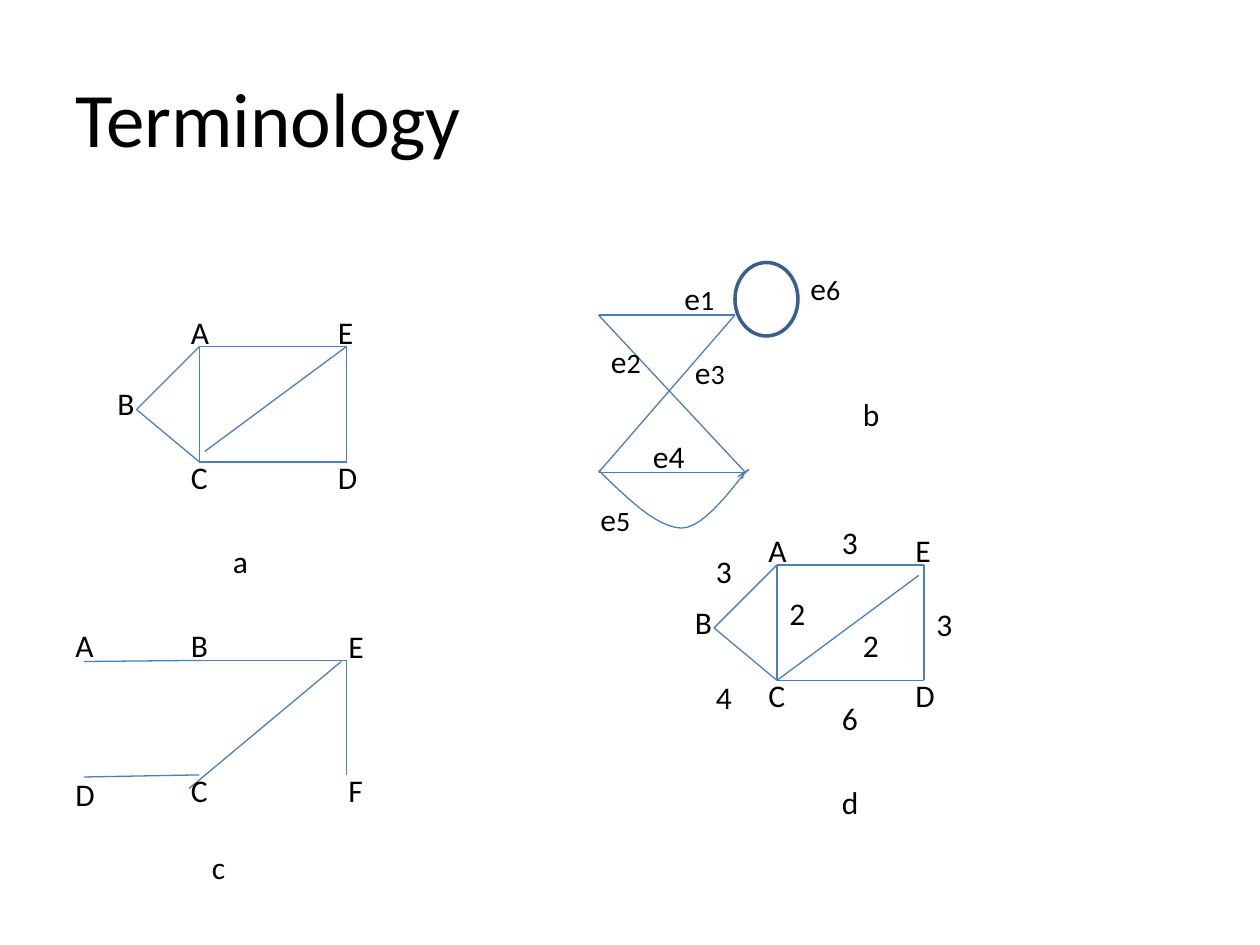
from lxml import etree
from pptx import Presentation
from pptx import util as u
from pptx.dml.color import RGBColor
from pptx.enum import shapes, text
from pptx.oxml.ns import qn

BLACK = RGBColor(0x00, 0x00, 0x00)
EDGE_BLUE = RGBColor(0x4B, 0x7E, 0xBC)
LOOP_BLUE = RGBColor(0x3A, 0x5F, 0x8C)
COLUMNS, ROWS = 120, 90
CELL = u.Inches(10) // COLUMNS

# Graphs a and d share one shape; d also carries weights.
HOUSE = {"A": (19, 33), "E": (33, 33), "D": (33, 44), "C": (19, 44), "B": (13, 39)}
HOUSE_EDGES = ["AC", "AE", "ED", "CD", "AB", "BC"]
HOUSE_LABELS = [("A", 17, 29.2), ("E", 31, 29.2), ("D", 31, 43), ("C", 17, 43), ("B", 10, 36)]
HOUSE_D_SHIFT = (55, 20.8)
WEIGHTS = [("3", 67, 52), ("3", 79, 49.2), ("6", 79, 66), ("3", 88, 57),
           ("4", 67, 64), ("2", 81, 59), ("2", 74, 56)]

TREE_EDGES = [((19, 62.9), (33, 62.9)), ((33, 62.9), (33, 73.8)), ((18, 75.1), (32.5, 63)),
              ((19, 62.9), (8, 63)), ((8, 74), (19, 73.8))]
TREE_LABELS = [("B", 17, 59), ("E", 32, 59.1), ("F", 32, 72.8),
               ("C", 17, 72.8), ("D", 6, 73.2), ("A", 6, 59)]

MULTI_EDGES = [((57, 30), (70, 30)), ((57, 45), (71, 45)),
               ((57, 45), (70, 30)), ((57, 30), (71, 45))]
EDGE_NAMES = [("4", 61, 41, 18), ("6", 76, 25, 16), ("3", 65, 33, 16),
              ("2", 57, 32, 16), ("1", 64, 26, 16), ("5", 56, 47, 16)]
CURVE_START = (57, 44.8)
CURVE = [((59.8, 47.5), (62.5, 50.2), (64.9, 50.3)), ((67.2, 50.3), (70.2, 45.8), (71, 45)),
         ((72, 44.2), (70.3, 45.4), (70.3, 45.4)), ((70.3, 45.4), (70.8, 45), (70.9, 45)),
         ((70.9, 45), (70.8, 45.2), (70.7, 45.6))]
CAPTIONS = [("a", 21, 51), ("b", 81, 37), ("c", 19, 80.2), ("d", 79, 74)]


def cells(*counts):
    """Turn grid counts into lengths."""
    return [round(count * CELL) for count in counts]


def apply_format(target, values):
    for name, value in values.items():
        setattr(target, name, value)


def add_span(para, words, size):
    span = para.add_run()
    span.text = words
    apply_format(span.font, {"name": "Calibri", "size": u.Pt(size)})
    span.font.color.rgb = BLACK


def add_label(page, spans, column, row, width=5):
    box = page.shapes.add_textbox(*cells(column, row, width, 4.8))
    apply_format(box.text_frame, {"word_wrap": True,
                                  "auto_size": text.MSO_AUTO_SIZE.SHAPE_TO_FIT_TEXT})
    for words, size in spans:
        add_span(box.text_frame.paragraphs[0], words, size)


def add_edge(page, start, end):
    edge = page.shapes.add_connector(shapes.MSO_CONNECTOR.STRAIGHT, *cells(*start, *end))
    edge.line.color.rgb = EDGE_BLUE
    edge.line.width = u.Pt(0.75)
    etree.SubElement(edge._element.spPr, qn("a:effectLst"))


def outline(shape, color, width):
    shape.shadow.inherit = False
    shape.fill.background()
    shape.line.color.rgb = color
    shape.line.width = u.Pt(width)


def curve_points(start, segments, steps=12):
    """Sample a chain of cubic Bezier segments."""
    for first, second, end in segments:
        for step in range(1, steps + 1):
            t = step / steps
            weights = ((1 - t) ** 3, 3 * t * (1 - t) ** 2, 3 * t * t * (1 - t), t ** 3)
            knots = (start, first, second, end)
            yield tuple(sum(w * knot[axis] for w, knot in zip(weights, knots))
                        for axis in (0, 1))
        start = end


def add_curve(page, start, segments):
    builder = page.shapes.build_freeform(*cells(*start))
    builder.add_line_segments([cells(*point) for point in curve_points(start, segments)],
                              close=False)
    outline(builder.convert_to_shape(), EDGE_BLUE, 0.75)


def add_house(page, diagonal, shift=(0, 0)):
    def moved(point):
        return point[0] + shift[0], point[1] + shift[1]

    for start, end in [(HOUSE[a], HOUSE[b]) for a, b in HOUSE_EDGES] + [diagonal]:
        add_edge(page, moved(start), moved(end))
    for name, *place in HOUSE_LABELS:
        add_label(page, [(name, 18)], *moved(place))


def add_multigraph(page):
    for start, end in MULTI_EDGES:
        add_edge(page, start, end)
    loop = page.shapes.add_shape(shapes.MSO_SHAPE.FLOWCHART_CONNECTOR, *cells(70, 25, 6, 7))
    outline(loop, LOOP_BLUE, 2)
    add_curve(page, CURVE_START, CURVE)
    for number, column, row, size in EDGE_NAMES:
        add_label(page, [("e", 18), (number, size)], column, row, 8)


def add_title(page, words):
    title = page.shapes.title
    places = cells(6, 3.6, 108, 15)
    apply_format(title, dict(zip(("left", "top", "width", "height"), places)))
    title.text_frame.vertical_anchor = text.MSO_ANCHOR.MIDDLE
    para = title.text_frame.paragraphs[0]
    para.alignment = text.PP_ALIGN.LEFT
    add_span(para, words, 44)


def main():
    deck = Presentation()
    deck.slide_width, deck.slide_height = cells(COLUMNS, ROWS)
    page = deck.slides.add_slide(deck.slide_layouts[5])
    add_title(page, "Terminology")
    add_house(page, ((19.5, 43), HOUSE["E"]))
    add_house(page, (HOUSE["C"], (32.5, 34)), HOUSE_D_SHIFT)
    for start, end in TREE_EDGES:
        add_edge(page, start, end)
    add_multigraph(page)
    for words, column, row in WEIGHTS + TREE_LABELS + CAPTIONS:
        add_label(page, [(words, 18)], column, row)
    deck.save("out.pptx")


if __name__ == "__main__":
    main()
